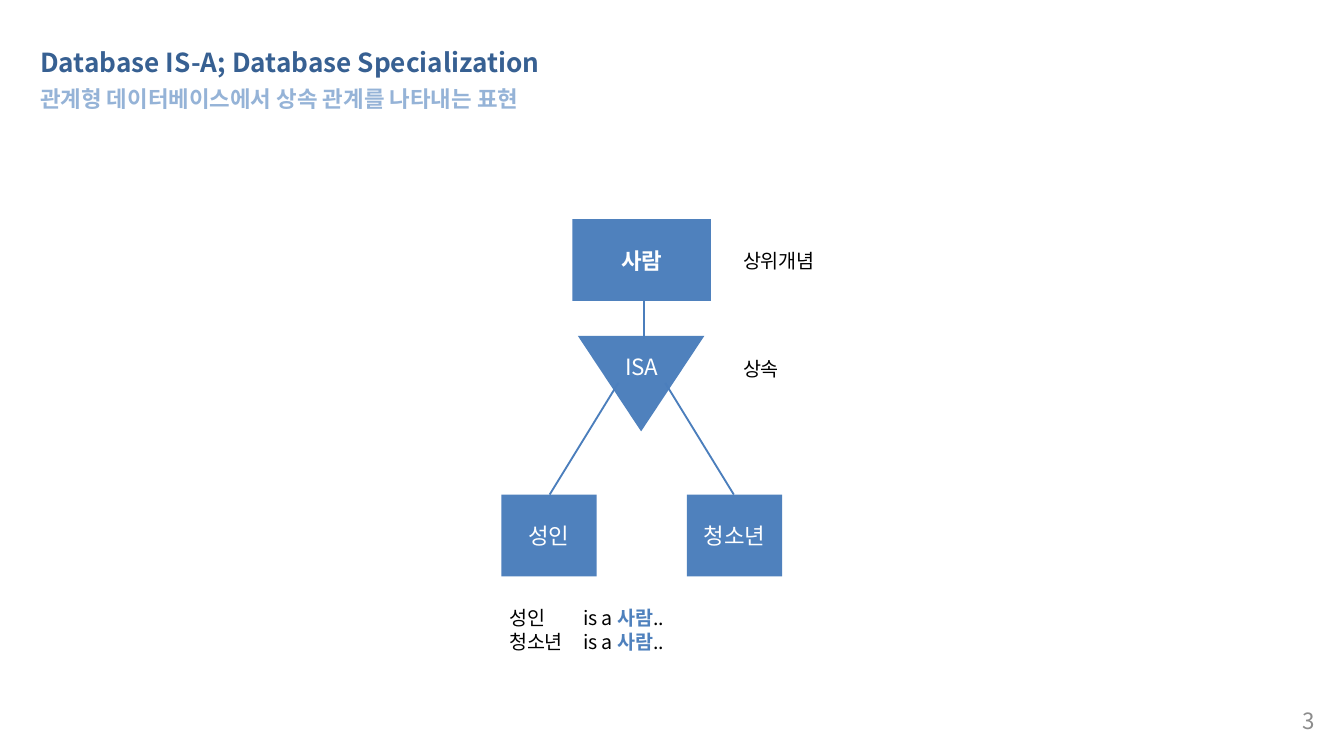
import pptx
import pptx.util
import pptx.dml.color
import pptx.enum.shapes
import pptx.enum.text
import pptx.oxml
import pptx.oxml.ns
import lxml.etree

COLORS = {
    "blue": "4F81BD", "line": "4B7EBC", "title": "376092", "subtitle": "95B3D7",
    "white": "FFFFFF", "black": "000000", "gray": "8C8C8C",
}
ALIGN = pptx.enum.text.PP_ALIGN
ANCHOR = pptx.enum.text.MSO_ANCHOR
SHAPE = pptx.enum.shapes.MSO_SHAPE


class DiagramSlide:
    """Draws elements on a slide whose grid cells are a tenth of an inch."""

    font_name = "Noto Sans CJK KR"
    cell = 0.1

    def __init__(self, presentation):
        self.slide = presentation.slides.add_slide(presentation.slide_layouts[6])

    def grid(self, *cells):
        return [pptx.util.Inches(round(count * self.cell, 3)) for count in cells]

    def color(self, name):
        return pptx.dml.color.RGBColor.from_string(COLORS[name])

    def style(self, paragraph, size, color, bold=False, align=ALIGN.LEFT):
        paragraph.alignment = align
        font = paragraph.font
        font.size, font.bold, font.name = pptx.util.Pt(size), bold, self.font_name
        font.color.rgb = self.color(color)
        properties = paragraph._p.get_or_add_pPr().find(pptx.oxml.ns.qn("a:defRPr"))
        east_asian = lxml.etree.SubElement(properties, pptx.oxml.ns.qn("a:ea"))
        east_asian.set("typeface", self.font_name)

    def box(self, left, top, width, height, kind=SHAPE.RECTANGLE, text="", bold=False):
        shape = self.slide.shapes.add_shape(kind, *self.grid(left, top, width, height))
        shape.shadow.inherit = False
        shape.fill.solid()
        shape.fill.fore_color.rgb = self.color("blue")
        shape.line.fill.background()
        if text:
            frame = shape.text_frame
            frame.vertical_anchor = ANCHOR.MIDDLE
            frame.text = text
            self.style(frame.paragraphs[0], 12, "white", bold, ALIGN.CENTER)
        return shape

    def text(self, left, top, width, height, lines, anchor=ANCHOR.TOP):
        shape = self.slide.shapes.add_textbox(*self.grid(left, top, width, height))
        frame = shape.text_frame
        frame.word_wrap = True
        frame.vertical_anchor = anchor
        for index, (words, *look) in enumerate(lines):
            paragraph = frame.add_paragraph() if index else frame.paragraphs[0]
            paragraph.text = words
            self.style(paragraph, *look)
        return frame

    def label(self, left, top, width, text):
        self.text(left, top, width, 2.9, [(text, 10.5, "black")])

    def emphasize(self, paragraph, word, tail):
        run = paragraph.add_run()
        run.text = word
        run.font.bold = True
        run.font.color.rgb = self.color("blue")
        paragraph.add_run().text = tail

    def tab_stop(self, paragraph, position):
        tabs = pptx.oxml.parse_xml(
            f'<a:tabLst {pptx.oxml.ns.nsdecls("a")}>'
            f'<a:tab pos="{self.grid(position)[0]}" algn="l"/></a:tabLst>')
        properties = paragraph._p.get_or_add_pPr()
        properties.find(pptx.oxml.ns.qn("a:defRPr")).addprevious(tabs)

    def line(self, *ends):
        connector = self.slide.shapes.add_connector(
            pptx.enum.shapes.MSO_CONNECTOR.STRAIGHT, *self.grid(*ends))
        connector.line.color.rgb = self.color("line")
        connector.line.width = pptx.util.Pt(1)
        lxml.etree.SubElement(connector._element.spPr, pptx.oxml.ns.qn("a:effectLst"))


presentation = pptx.Presentation()
presentation.slide_width = pptx.util.Inches(10)
presentation.slide_height = presentation.slide_width * 9 // 16
diagram = DiagramSlide(presentation)

diagram.text(93.2, 52.1, 5.6, 3, [("3", 12, "gray", False, ALIGN.RIGHT)], ANCHOR.MIDDLE)

diagram.box(42.6, 16.3, 10.3, 6.1, text="사람", bold=True)
triangle = diagram.box(43, 25, 9.4, 7.1, SHAPE.ISOSCELES_TRIANGLE)
triangle.rotation = 180
diagram.text(44.2, 25.8, 7.1, 3, [("ISA", 12, "white", False, ALIGN.CENTER)])

children = ["성인", "청소년"]
for index, child in enumerate(children):
    diagram.box(37.3 + 13.8 * index, 36.8, 7.1, 6.1, text=child)

diagram.line(47.9, 22.4, 47.9, 25.2)
for joint, child_center in [(46, 40.9), (49.5, 54.6)]:
    diagram.line(joint, 28.5, child_center, 36.8)

diagram.label(54.3, 18, 8.9, "상위개념")
diagram.label(54.3, 26.1, 7.1, "상속")

sentences = diagram.text(36.9, 44.6, 17.8, 4.5,
                         [(f"{child}\tis a ", 10.5, "black") for child in children])
for paragraph in sentences.paragraphs:
    diagram.tab_stop(paragraph, 5.5)
    diagram.emphasize(paragraph, "사람", "..")

heading = diagram.text(2, 2.9, 51.7, 5.7, [
    ("Database IS-A; Database Specialization", 14, "title", True),
    ("관계형 데이터베이스에서 상속 관계를 나타내는 표현", 12, "subtitle", True),
])
heading.margin_top = 0
for paragraph in heading.paragraphs:
    paragraph.line_spacing = 1.25

presentation.save("out.pptx")
